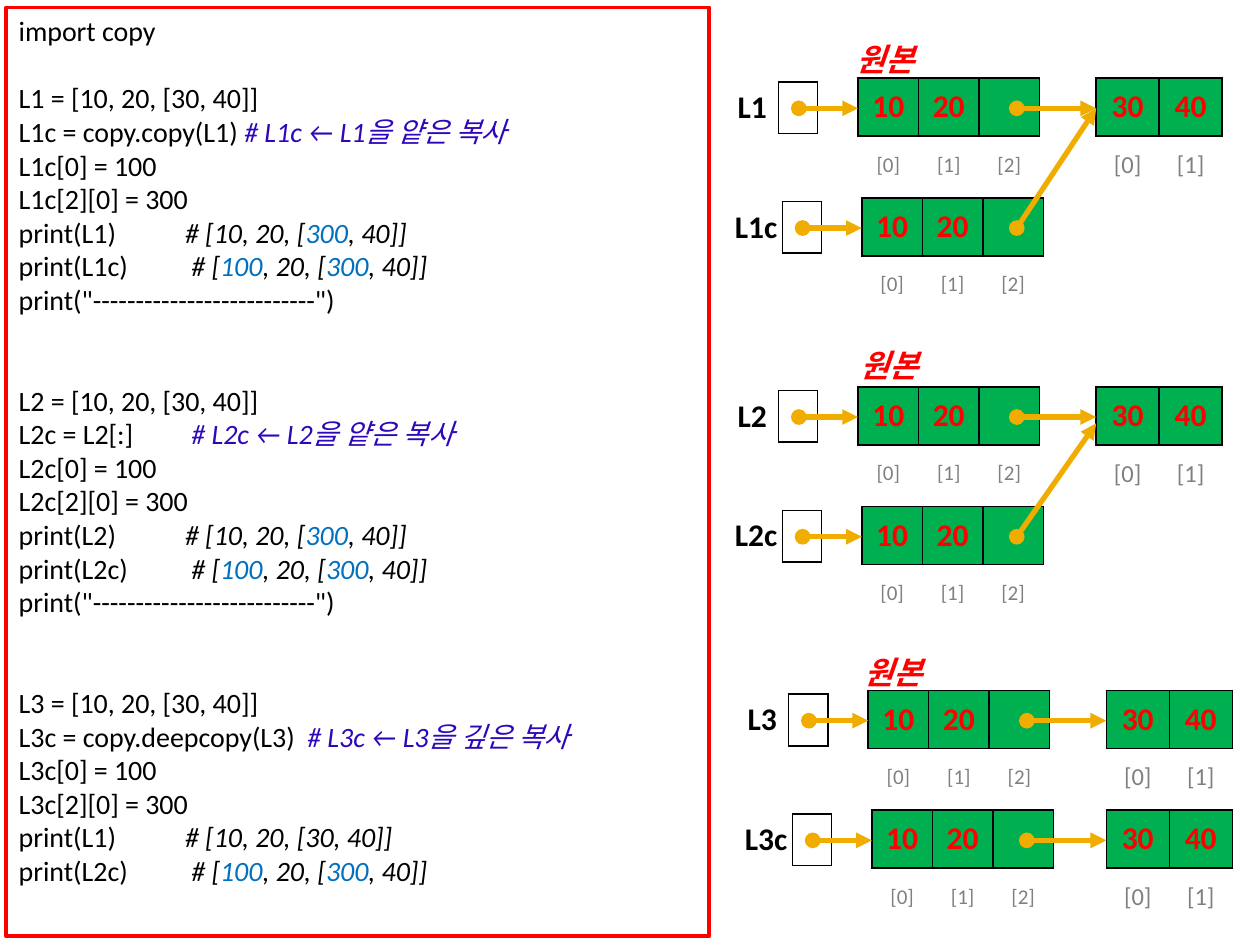
import pptx
import pptx.dml.color
import pptx.enum.shapes
import pptx.enum.text
import pptx.oxml
import pptx.oxml.ns
import pptx.util
from pptx.util import Inches

BLACK, RED, GREEN, GRAY = "000000", "FF0000", "00B050", "808080"
ORANGE, BLUE, PURPLE = "F0AD00", "0070C0", "2D07B9"
CODE_LINE = 19.2  # points taken by one line of code
NEAR_TAB, FAR_TAB, DEEP_TAB = 1.32, 1.37, 2.29
ALL_SIDES = "LRTB"


def color(hex_code):
    return pptx.dml.color.RGBColor.from_string(hex_code)


def add_xml(parent, tag, **attributes):
    return pptx.oxml.xmlchemy.OxmlElement(tag, nsmap=None) if parent is None else _append(
        parent, tag, attributes)


def _append(parent, tag, attributes):
    child = parent.makeelement(pptx.oxml.ns.qn(tag), attributes)
    parent.append(child)
    return child


def add_text(paragraph, text, size=18, font="Calibri", fill=BLACK, bold=False, italic=False):
    run = paragraph.add_run()
    run.text = text
    run.font.size = pptx.util.Pt(size)
    run.font.name = font
    run.font.bold = bold
    run.font.italic = italic
    run.font.color.rgb = color(fill)


def set_borders(cell, sides):
    """Draw the named sides (of L, R, T, B) and clear the others."""
    properties = cell._tc.get_or_add_tcPr()
    for side in ALL_SIDES:
        border = _append(properties, f"a:ln{side}", {"w": "12700"})
        if side in sides:
            _append(_append(border, "a:solidFill", {}), "a:srgbClr", {"val": BLACK})
        else:
            _append(border, "a:noFill", {})


class MemorySlide:
    def __init__(self, slide):
        self.shapes = slide.shapes

    def code_box(self, lines):
        """Each line is (blank lines before, tab stop or None, runs)."""
        box = self.shapes.add_shape(pptx.enum.shapes.MSO_SHAPE.RECTANGLE, Inches(0.05),
                                    Inches(0.06), Inches(5.58), Inches(7.37))
        box.shadow.inherit = False
        box.fill.background()
        box.line.color.rgb = color(RED)
        box.line.width = pptx.util.Pt(2.25)
        frame = box.text_frame
        frame.word_wrap = True
        frame.vertical_anchor = pptx.enum.text.MSO_ANCHOR.TOP
        for number, (gap, tab, runs) in enumerate(lines):
            paragraph = frame.add_paragraph() if number else frame.paragraphs[0]
            paragraph.alignment = pptx.enum.text.PP_ALIGN.LEFT
            if gap:
                paragraph.space_before = pptx.util.Pt(gap * CODE_LINE)
            if tab:
                stops = _append(paragraph._p.get_or_add_pPr(), "a:tabLst", {})
                _append(stops, "a:tab", {"pos": str(Inches(tab)), "algn": "l"})
            for text, style in runs:
                add_text(paragraph, text, size=16, **style)

    def table(self, left, top, widths, heights):
        table = self.shapes.add_table(len(heights), len(widths), Inches(left), Inches(top),
                                      Inches(sum(widths)), Inches(sum(heights))).table
        table.first_row = table.horz_banding = False
        for column, width in zip(table.columns, widths):
            column.width = Inches(width)
        for row, height in zip(table.rows, heights):
            row.height = Inches(height)
        return table

    def cell(self, cell, text, sides, background=None, **style):
        cell.margin_left = cell.margin_right = cell.margin_top = cell.margin_bottom = 0
        cell.vertical_anchor = pptx.enum.text.MSO_ANCHOR.MIDDLE
        set_borders(cell, sides)
        if background:
            cell.fill.solid()
            cell.fill.fore_color.rgb = color(background)
        else:
            cell.fill.background()
        paragraph = cell.text_frame.paragraphs[0]
        paragraph.alignment = pptx.enum.text.PP_ALIGN.CENTER
        if text:
            add_text(paragraph, text, **style)

    def list_cells(self, left, top, values, width, index_size):
        table = self.table(left, top, [width] * len(values), [0.46, 0.46])
        for index, value in enumerate(values):
            self.cell(table.cell(0, index), value, ALL_SIDES, GREEN, fill=RED, bold=True)
            self.cell(table.cell(1, index), f"[{index}]", "T", size=index_size, fill=GRAY)

    def variable(self, left, top, name):
        table = self.table(left, top, [0.42, 0.31], [0.41])
        self.cell(table.cell(0, 0), name, "R", bold=True)
        self.cell(table.cell(0, 1), "", ALL_SIDES)

    def pointer(self, x1, y1, x2, y2):
        arrow = self.shapes.add_connector(pptx.enum.shapes.MSO_CONNECTOR.STRAIGHT, Inches(x1),
                                          Inches(y1), Inches(x2), Inches(y2))
        arrow.line.color.rgb = color(ORANGE)
        arrow.line.width = pptx.util.Pt(3)
        line = arrow.line._get_or_add_ln()
        _append(line, "a:headEnd", {"type": "oval"})
        _append(line, "a:tailEnd", {"type": "triangle"})
        _append(arrow._element.spPr, "a:effectLst", {})

    def caption(self, left, top, text):
        box = self.shapes.add_textbox(Inches(left), Inches(top), Inches(0.67), Inches(0.4))
        box.text_frame.word_wrap = True
        add_text(box.text_frame.paragraphs[0], text, font="Roboto", fill=RED,
                 bold=True, italic=True)

    def named_list(self, left, top, name):
        self.list_cells(left, top, ["10", "20", ""], 0.48, 12)
        self.variable(left - 1.05, top + 0.03, name)
        self.pointer(left - 0.47, top + 0.24, left, top + 0.24)

    def diagram(self, name, left, top, inner_left, deep, shared_end=0.24):
        """Draw a list and its copy; a shallow copy points at the same inner list."""
        copy_top = top + 0.95
        slot = inner_left - 0.63
        self.named_list(left, top, name)
        self.named_list(left + 0.03, copy_top, name + "c")
        for inner_top in [top, copy_top] if deep else [top]:
            self.list_cells(inner_left, inner_top, ["30", "40"], 0.5, 14)
            self.pointer(slot, inner_top + 0.24, inner_left, inner_top + 0.24)
        if not deep:
            self.pointer(slot, copy_top + 0.24, inner_left, top + shared_end)


def result(*parts):
    """Format an italic comment; numbers that changed are blue."""
    return [(part, {"italic": True, "fill": BLUE if part.isdigit() else BLACK})
            for part in parts]


def plain(text):
    return [(text, {})]


def code_block(name, gap, copy_code, tab, remark, printed, original_result):
    copied = name + "c"
    comment = [(f"# {copied} ← {name}{remark}", {"fill": PURPLE, "italic": True})]
    copy_result = result("# [", "100", ", 20, [", "300", ", 40]]")
    return [
        (gap, None, plain(f"{name} = [10, 20, [30, 40]]")),
        (0, tab, plain(f"{copied} = {copy_code}") + comment),
        (0, None, plain(f"{copied}[0] = 100")),
        (0, None, plain(f"{copied}[2][0] = 300")),
        (0, NEAR_TAB, plain(f"print({printed[0]})\t") + original_result),
        (0, FAR_TAB, plain(f"print({printed[1]})\t") + copy_result),
    ]


def main():
    deck = pptx.Presentation()
    deck.slide_width, deck.slide_height = Inches(10), Inches(7.5)
    page = MemorySlide(deck.slides.add_slide(deck.slide_layouts[6]))

    shallow, deep = "을 얕은 복사", "을 깊은 복사"
    changed = result("# [10, 20, [", "300", ", 40]]")
    separator = [(0, None, plain('print("' + "-" * 26 + '")'))]
    page.code_box(
        [(0, None, plain("import copy"))]
        + code_block("L1", 1, "copy.copy(L1) ", None, shallow, ("L1", "L1c"), changed)
        + separator
        + code_block("L2", 2, "L2[:]\t", FAR_TAB, shallow, ("L2", "L2c"), changed)
        + separator
        + code_block("L3", 2, "copy.deepcopy(L3)\t", DEEP_TAB, deep, ("L1", "L2c"),
                     result("# [10, 20, [30, 40]]")))

    page.diagram("L1", 6.81, 0.62, 8.7, deep=False)
    page.diagram("L2", 6.81, 3.07, 8.7, deep=False, shared_end=0.29)
    page.diagram("L3", 6.89, 5.48, 8.78, deep=True)
    for group in range(3):
        page.caption(6.7 + 0.03 * group, 0.27 + 2.43 * group, "원본")

    deck.save("out.pptx")


if __name__ == "__main__":
    main()
